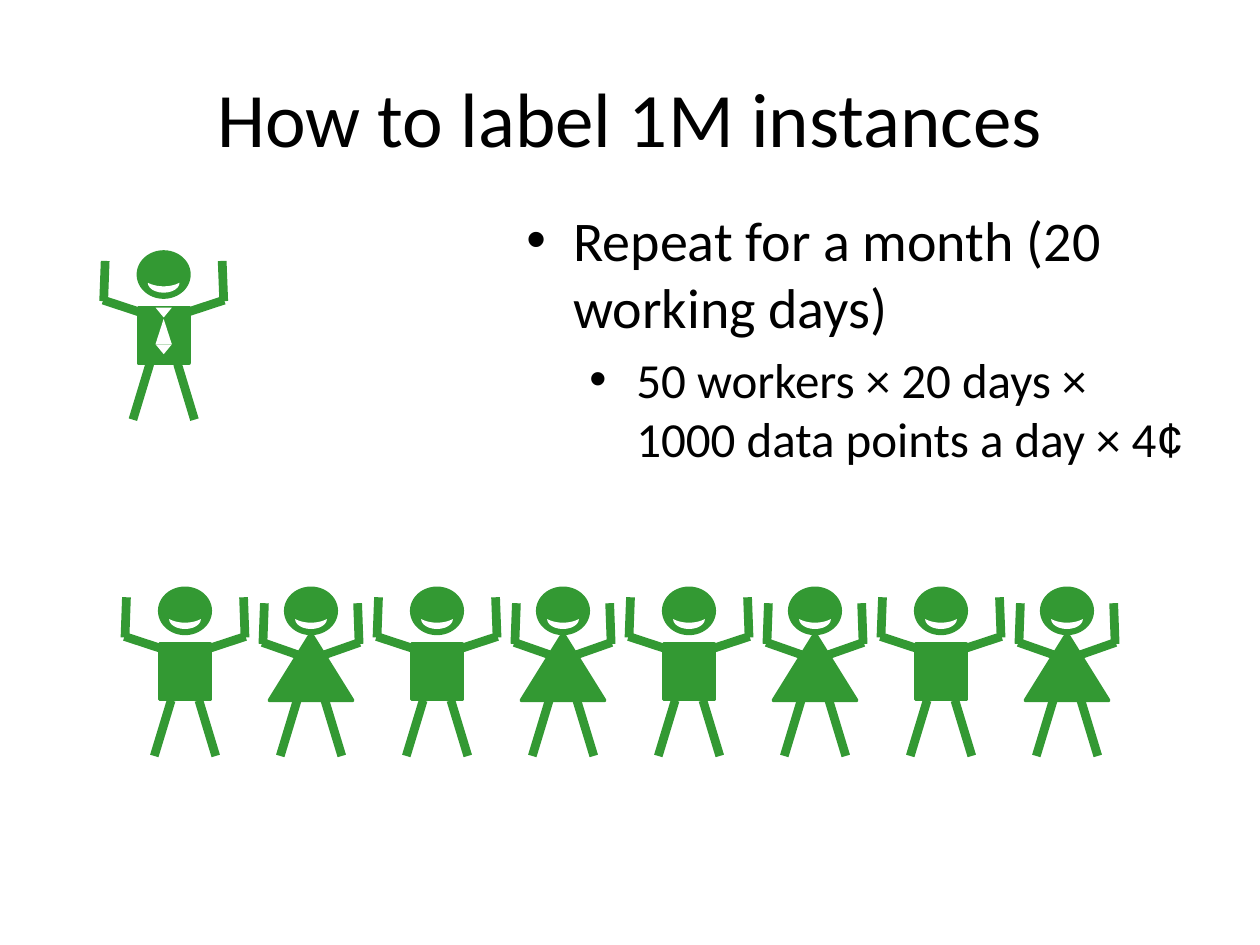
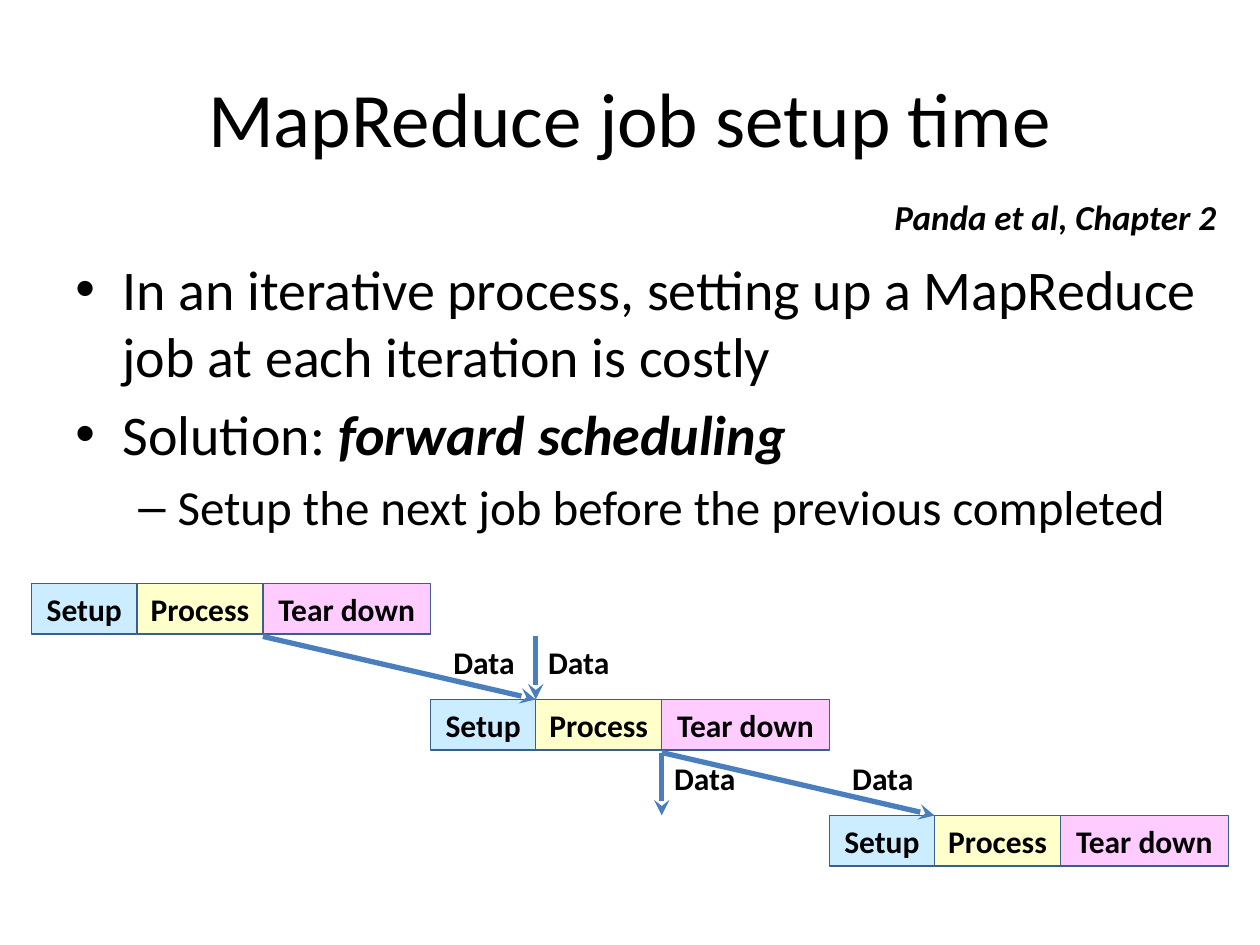
"""Build two slides: labelling with a crowd of workers, and forward scheduling of jobs."""
from lxml.etree import SubElement
from pptx import Presentation
from pptx.dml.color import RGBColor
from pptx.enum.shapes import MSO_CONNECTOR, MSO_SHAPE
from pptx.enum.text import MSO_ANCHOR, PP_ALIGN
from pptx.oxml.ns import qn
from pptx.util import Cm, Pt

FONT = "Calibri"
BLACK, WHITE, GREEN = "000000", "FFFFFF", "339933"
ARROW_BLUE, BORDER_BLUE = "4B7EBC", "3A5F8C"
TITLES = ["How to label 1M instances", "MapReduce job setup time"]


def add_paragraph(frame, texts, size, bold=False, italic=False,
                  alignment=PP_ALIGN.LEFT, bullet=None):
    """Write one paragraph; bullet is (character, left margin, hanging indent, level)."""
    frame.word_wrap = True
    first = not frame.paragraphs[0].runs
    paragraph = frame.paragraphs[0] if first else frame.add_paragraph()
    if bullet:
        character, margin, hanging, paragraph.level = bullet
        properties = paragraph._p.get_or_add_pPr()
        properties.set("marL", str(Cm(margin)))
        properties.set("indent", str(-Cm(hanging)))
        SubElement(properties, qn("a:buFont"), typeface="Arial")
        SubElement(properties, qn("a:buChar"), char=character)
        if not first:
            paragraph.space_before = Pt(size * 0.2)
    paragraph.alignment = alignment
    paragraph.font.name = FONT
    paragraph.font.size = Pt(size)
    paragraph.font.bold = bold
    paragraph.font.italic = italic
    paragraph.font.color.rgb = RGBColor.from_string(BLACK)
    for text in texts:
        paragraph.add_run().text = text
    return paragraph


def add_line(shapes, start_x, start_y, end_x, end_y, color, width, arrow=False):
    """Draw a straight line, with a stealth arrowhead at its end if asked."""
    connector = shapes.add_connector(
        MSO_CONNECTOR.STRAIGHT, Cm(start_x), Cm(start_y), Cm(end_x), Cm(end_y))
    connector.line.color.rgb = RGBColor.from_string(color)
    connector.line.width = Pt(width)
    if arrow:
        SubElement(connector.line._get_or_add_ln(), qn("a:tailEnd"), type="stealth")
    SubElement(connector._element.spPr, qn("a:effectLst"))


presentation = Presentation()
presentation.slide_width, presentation.slide_height = Cm(25.4), Cm(19.05)
slides = []
for title in TITLES:
    slide = presentation.slides.add_slide(presentation.slide_layouts[6])
    frame = slide.shapes.add_textbox(Cm(1.27), Cm(0.76), Cm(22.86), Cm(3.18)).text_frame
    frame.vertical_anchor = MSO_ANCHOR.MIDDLE
    add_paragraph(frame, [title], 44, alignment=PP_ALIGN.CENTER)
    slides.append(slide)
label_slide, schedule_slide = slides

frame = label_slide.shapes.add_textbox(Cm(10.36), Cm(4.01), Cm(13.97), Cm(6.55)).text_frame
add_paragraph(frame, ["Repeat for a month (20 working days)"], 32, bullet=("•", 0.95, 0.95, 0))
paragraph = add_paragraph(
    frame, ["50 workers × 20 days × 1000 data points a day × 4", "¢"], 28,
    bullet=("•", 2.22, 0.95, 1))
paragraph.runs[1].font.name = "Arial"

HEAD = (MSO_SHAPE.OVAL, 0, 1.02, 0.91, GREEN, 0)
SMILE = (MSO_SHAPE.MOON, 0.4, 0.2, 0.64, WHITE, 270)
MAN_BODY = (MSO_SHAPE.RECTANGLE, 1.12, 1.02, 1.12, GREEN, 0)
WOMAN_BODY = (MSO_SHAPE.ISOSCELES_TRIANGLE, 0.91, 1.68, 1.35, GREEN, 0)
TIE = [
    (MSO_SHAPE.ISOSCELES_TRIANGLE, 1.35, 0.33, 0.51, WHITE, 0),
    (MSO_SHAPE.ISOSCELES_TRIANGLE, 1.86, 0.33, 0.2, WHITE, 180),
    (MSO_SHAPE.ISOSCELES_TRIANGLE, 1.12, 0.33, 0.2, WHITE, 180),
]
LEG = (0.28, 2.26, 0.62, 3.38)
MAN_LIMBS = [LEG, (1.18, 0.18, 1.21, 0.99), (1.22, 0.97, 0.46, 1.22)]
WOMAN_LIMBS = [LEG, (0.94, 0.3, 0.97, 1.12), (0.98, 1.09, 0.24, 1.35)]
MAN = ([HEAD, MAN_BODY, SMILE], MAN_LIMBS)
WOMAN = ([HEAD, WOMAN_BODY, SMILE], WOMAN_LIMBS)
MANAGER = ([HEAD, MAN_BODY, SMILE] + TIE, MAN_LIMBS)

people = [(3.3, 5.08, MANAGER)]
people += [(3.73 + 2.54 * index, 11.86, (MAN, WOMAN)[index % 2]) for index in range(8)]
for center, head_top, (parts, limbs) in people:
    person = label_slide.shapes.add_group_shape()
    for kind, offset, width, height, color, rotation in parts:
        shape = person.shapes.add_shape(
            kind, Cm(center - width / 2), Cm(head_top + offset), Cm(width), Cm(height))
        shape.shadow.inherit = False
        shape.rotation = rotation
        shape.fill.solid()
        shape.fill.fore_color.rgb = RGBColor.from_string(color)
        if color == GREEN:
            shape.line.color.rgb = RGBColor.from_string(GREEN)
            shape.line.width = Pt(2)
        else:
            shape.line.fill.background()
        if kind == MSO_SHAPE.MOON:
            shape.adjustments[0] = 0.64
    for start_x, start_y, end_x, end_y in limbs:
        for side in (-1, 1):
            add_line(person.shapes, center + side * start_x, head_top + start_y,
                     center + side * end_x, head_top + end_y, GREEN, 5)

frame = schedule_slide.shapes.add_textbox(Cm(1.27), Cm(5), Cm(23.29), Cm(12.57)).text_frame
add_paragraph(
    frame, ["In an iterative process, setting up a MapReduce job at each iteration is costly"],
    32, bullet=("•", 0.95, 0.95, 0))
paragraph = add_paragraph(
    frame, ["Solution: ", "forward scheduling"], 32, bullet=("•", 0.95, 0.95, 0))
paragraph.runs[1].font.bold = True
paragraph.runs[1].font.italic = True
add_paragraph(frame, ["Setup the next job before the previous completed"], 28,
              bullet=("–", 2.06, 0.79, 1))
frame = schedule_slide.shapes.add_textbox(Cm(15.88), Cm(3.81), Cm(8.89), Cm(1.12)).text_frame
add_paragraph(frame, ["Panda et al, Chapter 2"], 20, True, True, PP_ALIGN.RIGHT)

STAGES = [("Setup", 2.12, "CCECFF"), ("Process", 2.54, "FFFFCC"), ("Tear down", 3.38, "FFCCFF")]
SETUP_WIDTH, PROCESS_WIDTH = STAGES[0][1], STAGES[1][1]
JOB_WIDTH = sum(width for name, width, color in STAGES)
JOB_HEIGHT, JOB_STEP = 1.02, 2.34
jobs = [(0.64 + JOB_WIDTH * index, 11.76 + JOB_STEP * index) for index in range(3)]
for job_left, job_top in jobs:
    left = job_left
    job = schedule_slide.shapes.add_group_shape()
    for name, width, color in STAGES:
        shape = job.shapes.add_shape(
            MSO_SHAPE.RECTANGLE, Cm(left), Cm(job_top), Cm(width), Cm(JOB_HEIGHT))
        shape.shadow.inherit = False
        shape.fill.solid()
        shape.fill.fore_color.rgb = RGBColor.from_string(color)
        shape.line.color.rgb = RGBColor.from_string(BORDER_BLUE)
        shape.line.width = Pt(0.75)
        add_paragraph(shape.text_frame, [name], 18, True, alignment=PP_ALIGN.CENTER)
        shape.text_frame.word_wrap = False
        left += width

next_process = JOB_WIDTH + SETUP_WIDTH
process_end = SETUP_WIDTH + PROCESS_WIDTH
for (job_left, job_top), vertical_offset in zip(jobs, (next_process, process_end)):
    start_y, end_y = job_top + 1.07, job_top + JOB_STEP
    vertical_x = job_left + vertical_offset
    for start_x, end_x, label_left in (
            (job_left + process_end, job_left + next_process, job_left + 8.25),
            (vertical_x, vertical_x, vertical_x)):
        add_line(schedule_slide.shapes, start_x, start_y, end_x, end_y, ARROW_BLUE, 3, arrow=True)
        label = schedule_slide.shapes.add_textbox(
            Cm(label_left), Cm(start_y), Cm(3.81), Cm(1.07))
        add_paragraph(label.text_frame, ["Data"], 18, True)

presentation.save("out.pptx")
